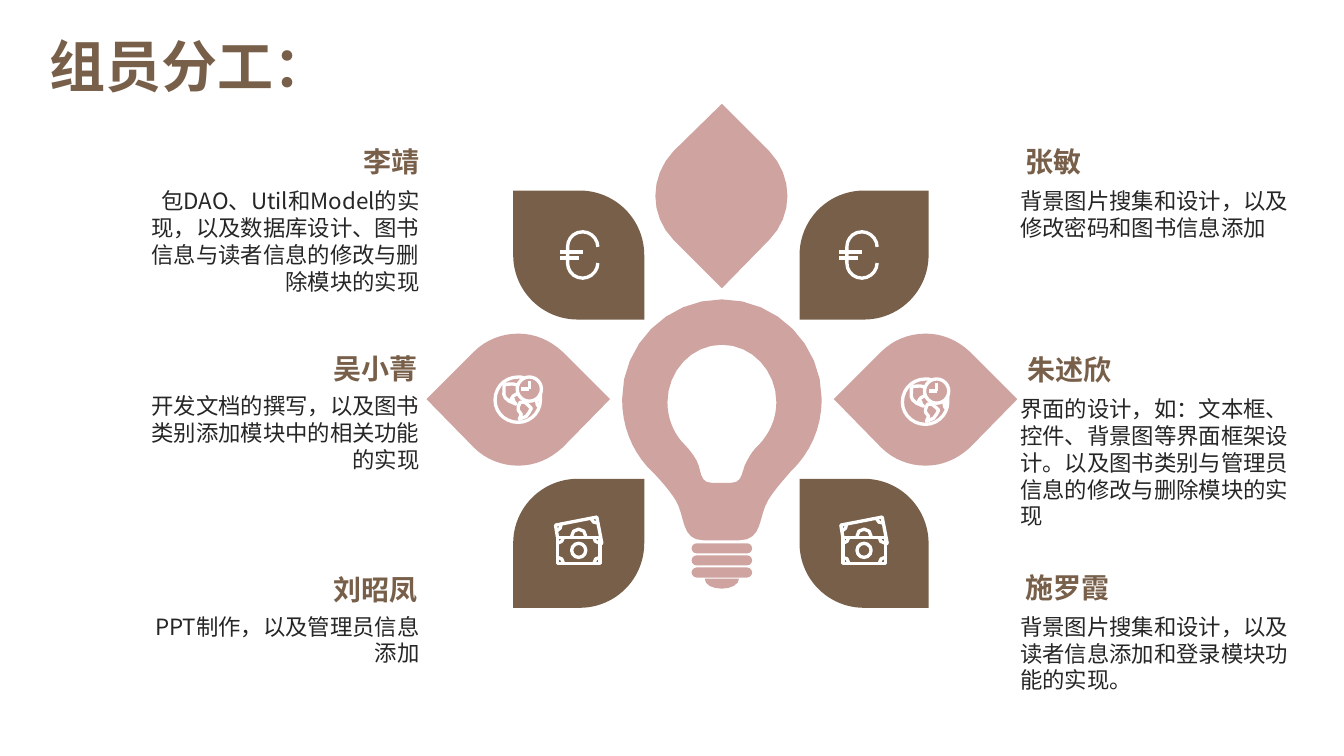
"""Build the team roles slide: a light bulb ringed by petals, with six members and their tasks."""
from math import ceil, dist
from lxml.etree import SubElement
from pptx import Presentation
from pptx.dml.color import RGBColor
from pptx.enum.shapes import MSO_CONNECTOR, MSO_SHAPE
from pptx.enum.text import MSO_ANCHOR, MSO_AUTO_SIZE, PP_ALIGN
from pptx.oxml.ns import qn
from pptx.util import Inches, Pt

FONT = "Noto Sans CJK SC"
COLORS = {"pink": "CEA3A0", "brown": "775F49", "heading": "785F49",
          "body": "262626", "white": "FFFFFF"}

TOP_PETAL = "M 7.16 1.03 L 6.68 1.5 C 6.44 1.75 6.44 2.14 6.68 2.38 L 7.16 2.86 L 7.63 2.38 C 7.87 2.14 7.87 1.75 7.63 1.5 Z"
SIDE_PETAL = ("M 5.14 3.31 C 4.98 3.31 4.82 3.37 4.7 3.49 L 4.23 3.96 L 4.7 4.44 C 4.82 4.56 4.98 4.62 5.14 4.62 "
              "C 5.3 4.62 5.45 4.56 5.58 4.44 L 6.05 3.96 L 5.58 3.49 C 5.45 3.37 5.3 3.31 5.14 3.31 Z")
BULB_TIP = "M 7.33 5.74 C 7.33 5.8 7.25 5.84 7.16 5.84 C 7.06 5.84 6.99 5.8 6.99 5.74 Z"
BULB = ("M 7.16 2.97 C 6.61 2.97 6.17 3.42 6.17 3.96 C 6.17 4.22 6.26 4.45 6.42 4.63 L 6.47 4.68 "
        "C 6.53 4.74 6.63 4.85 6.7 4.96 C 6.8 5.12 6.75 5.36 6.98 5.36 L 7.33 5.36 C 7.57 5.36 7.52 5.12 7.62 4.96 "
        "C 7.68 4.86 7.78 4.75 7.84 4.68 C 8.03 4.5 8.15 4.25 8.15 3.96 C 8.15 3.42 7.71 2.97 7.16 2.97 Z "
        "M 7.53 4.41 C 7.49 4.44 7.44 4.51 7.41 4.57 C 7.35 4.66 7.38 4.79 7.25 4.79 L 7.06 4.79 "
        "C 6.93 4.79 6.96 4.66 6.91 4.57 C 6.87 4.5 6.82 4.44 6.78 4.4 L 6.76 4.38 "
        "C 6.67 4.27 6.62 4.14 6.62 3.99 C 6.62 3.68 6.86 3.42 7.16 3.42 C 7.46 3.42 7.7 3.68 7.7 3.99 "
        "C 7.7 4.16 7.63 4.3 7.53 4.41 Z")
GLOBE = [
    "M 5.2 3.75 C 5.18 3.74 5.16 3.74 5.14 3.74 C 5.01 3.74 4.91 3.84 4.91 3.97 C 4.91 4.09 5.01 4.19 5.14 4.19 "
    "C 5.26 4.19 5.36 4.09 5.36 3.97 L 5.36 3.9",
    "M 5.13 3.82 L 5.09 3.81 C 5.04 3.8 4.98 3.82 5 3.83 L 5 3.88 C 4.99 3.91 5 3.95 5.05 3.98 "
    "L 5.12 4.01 L 5.1 3.99 L 5.09 3.96 L 5.07 3.96 C 5.06 3.94 5.08 3.92 5.09 3.93 L 5.14 3.9",
    "M 5.14 4.04 L 5.14 4.07 L 5.17 4.11 L 5.15 4.16 L 5.22 4.13 C 5.25 4.1 5.25 4.08 5.27 4.05 L 5.24 4.02 "
    "C 5.22 4.01 5.19 3.96 5.16 3.99 Z",
    "M 5.34 3.94 C 5.33 3.97 5.31 4 5.33 4.02 L 5.36 4.03",
]
BANKNOTES = [
    "M 5.67 5.32 C 5.67 5.28 5.7 5.25 5.74 5.25 C 5.78 5.25 5.81 5.28 5.81 5.32",
    "M 5.59 5.33 C 5.59 5.36 5.56 5.39 5.53 5.39 M 5.95 5.39 C 5.91 5.39 5.89 5.36 5.89 5.33 "
    "M 5.89 5.59 C 5.89 5.55 5.92 5.53 5.95 5.53 M 5.53 5.53 C 5.56 5.53 5.59 5.55 5.59 5.59",
    "M 5.53 5.33 L 5.51 5.21 L 5.92 5.13 L 5.97 5.39 L 5.95 5.4 "
    "M 5.57 5.19 C 5.57 5.23 5.55 5.26 5.52 5.27 M 5.93 5.19 C 5.9 5.2 5.87 5.17 5.86 5.14",
]
EURO = ["M 5.93 2.45 C 5.93 2.37 5.86 2.3 5.78 2.3 C 5.69 2.3 5.63 2.37 5.63 2.45 L 5.63 2.61 "
        "C 5.63 2.69 5.69 2.76 5.78 2.76 C 5.86 2.76 5.93 2.69 5.93 2.61"]

ICONS = [
    (GLOBE, [(MSO_SHAPE.OVAL, 5.13, 3.74, 0.24, 0.24)],
     [(5.17, 3.86, 5.25, 3.86), (5.25, 3.78, 5.25, 3.86)], [(0, 0), (4.04, 0.02)]),
    (BANKNOTES, [(MSO_SHAPE.OVAL, 5.67, 5.39, 0.14, 0.14), (MSO_SHAPE.RECTANGLE, 5.53, 5.33, 0.42, 0.26)],
     [], [(0, 0), (2.83, 0)]),
    (EURO, [], [(5.78, 2.5, 5.55, 2.5), (5.74, 2.56, 5.55, 2.56)], [(0, 0), (2.77, 0)]),
]
LEAVES = [(5.09, 1.89, 1.3, 0, 0.5), (7.93, 1.89, 1.28, 0.5, 0),
          (5.09, 4.75, 1.3, 0.5, 0), (7.93, 4.75, 1.28, 0, 0.5)]
MEMBERS = [
    ("李靖", 2.33, 1.38, "包DAO、Util和Model的实现，以及数据库设计、图书信息与读者信息的修改与删除模块的实现", 1.34, 1.81, 1.18),
    ("吴小菁", 2.31, 3.44, "开发文档的撰写，以及图书类别添加模块中的相关功能的实现", 1.34, 3.84, 0.91),
    ("刘昭凤", 2.31, 5.63, "PPT制作，以及管理员信息添加", 1.34, 6.03, 0.64),
    ("张敏", 10.07, 1.38, "背景图片搜集和设计，以及修改密码和图书信息添加", 10.02, 1.81, 0.64),
    ("朱述欣", 10.09, 3.45, "界面的设计，如：文本框、控件、背景图等界面框架设计。以及图书类别与管理员信息的修改与删除模块的实现", 10.02, 3.87, 1.45),
    ("施罗霞", 10.07, 5.61, "背景图片搜集和设计，以及读者信息添加和登录模块功能的实现。", 10.02, 6.03, 0.91),
]

prs = Presentation()
prs.slide_width, prs.slide_height = Inches(13.33), Inches(7.5)
s = prs.slides.add_slide(prs.slide_layouts[5])


def style(sp, fill=None):
    """Fill a shape without outline, or give it a white outline only."""
    sp.shadow.inherit = False
    if fill:
        sp.fill.solid()
        sp.fill.fore_color.rgb = RGBColor.from_string(COLORS[fill])
        sp.line.fill.background()
    else:
        sp.fill.background()
        sp.line.color.rgb = RGBColor.from_string(COLORS["white"])
        sp.line.width = Pt(2.38)


def draw(outline, dx=0, dy=0, fill=None):
    """Draw an outline of M, L, C and Z commands, sampling each curve by its length."""
    tokens = iter(outline.split())
    builder = None
    for cmd in tokens:
        if cmd == "Z":
            builder.add_line_segments([], close=True)
            continue
        pts = [(Inches(float(next(tokens)) + dx), Inches(float(next(tokens)) + dy))
               for _ in range(3 if cmd == "C" else 1)]
        if cmd == "M" and builder is None:
            builder = s.shapes.build_freeform(*pts[0], scale=1.0)
        elif cmd == "M":
            builder.move_to(*pts[0])
        elif cmd == "L":
            builder.add_line_segments(pts, close=False)
        else:
            curve = [last, *pts]
            steps = min(8, ceil(dist(last, pts[-1]) / Inches(0.05)))
            samples = []
            for i in range(1, steps + 1):
                t = i / steps
                weights = ((1 - t) ** 3, 3 * t * (1 - t) ** 2, 3 * t * t * (1 - t), t ** 3)
                samples.append(tuple(sum(w * p[axis] for w, p in zip(weights, curve)) for axis in (0, 1)))
            builder.add_line_segments(samples, close=False)
        last = pts[-1]
    style(builder.convert_to_shape(), fill)


draw(TOP_PETAL, fill="pink")
for dx in (4.04, 0):
    draw(SIDE_PETAL, dx, fill="pink")

for x, y, w, adj1, adj2 in LEAVES:
    leaf = s.shapes.add_shape(MSO_SHAPE.ROUND_2_DIAG_RECTANGLE, Inches(x), Inches(y), Inches(w), Inches(1.28))
    leaf.adjustments[0], leaf.adjustments[1] = adj1, adj2
    style(leaf, "brown")

for i in range(3):
    band = s.shapes.add_shape(MSO_SHAPE.ROUNDED_RECTANGLE, Inches(6.86), Inches(5.39 + 0.12 * i),
                              Inches(0.6), Inches(0.1))
    band.adjustments[0] = 0.5
    style(band, "pink")
draw(BULB_TIP, fill="pink")
draw(BULB, fill="pink")

for outlines, presets, lines, offsets in ICONS:
    for dx, dy in offsets:
        for kind, x, y, w, h in presets:
            style(s.shapes.add_shape(kind, Inches(x + dx), Inches(y + dy), Inches(w), Inches(h)))
        for x1, y1, x2, y2 in lines:
            line = s.shapes.add_connector(MSO_CONNECTOR.STRAIGHT, Inches(x1 + dx), Inches(y1 + dy),
                                          Inches(x2 + dx), Inches(y2 + dy))
            line.line.color.rgb = RGBColor.from_string(COLORS["white"])
            line.line.width = Pt(2.38)
            SubElement(line._element.spPr, qn("a:effectLst"))
        for outline in outlines:
            draw(outline, dx, dy)

title = s.shapes.title
title.left, title.top, title.width, title.height = Inches(0.39), Inches(0.26), Inches(3.83), Inches(0.77)
texts = [(title, "组员分工：", 40, "heading", PP_ALIGN.LEFT)]
for name, name_x, name_y, task, task_x, task_y, task_h in MEMBERS:
    on_left = name_x < 6
    align = PP_ALIGN.RIGHT if on_left else PP_ALIGN.LEFT
    name_box = s.shapes.add_textbox(Inches(name_x), Inches(name_y), Inches(1.93), Inches(0.44))
    task_box = s.shapes.add_textbox(Inches(task_x), Inches(task_y), Inches(2.92), Inches(task_h))
    texts.append((name_box, name, 20, "heading" if on_left else "brown", align))
    texts.append((task_box, task, 16, "body", align))

for sp, text, size, color, align in texts:
    tf = sp.text_frame
    tf.word_wrap = True
    tf.auto_size = MSO_AUTO_SIZE.NONE
    tf.vertical_anchor = MSO_ANCHOR.TOP
    p = tf.paragraphs[0]
    p.alignment = align
    r = p.add_run()
    r.text = text
    r.font.size = Pt(size)
    r.font.bold = color != "body"
    r.font.color.rgb = RGBColor.from_string(COLORS[color])
    r.font.name = FONT
    SubElement(r._r.get_or_add_rPr(), qn("a:ea"), typeface=FONT)

prs.save("out.pptx")
